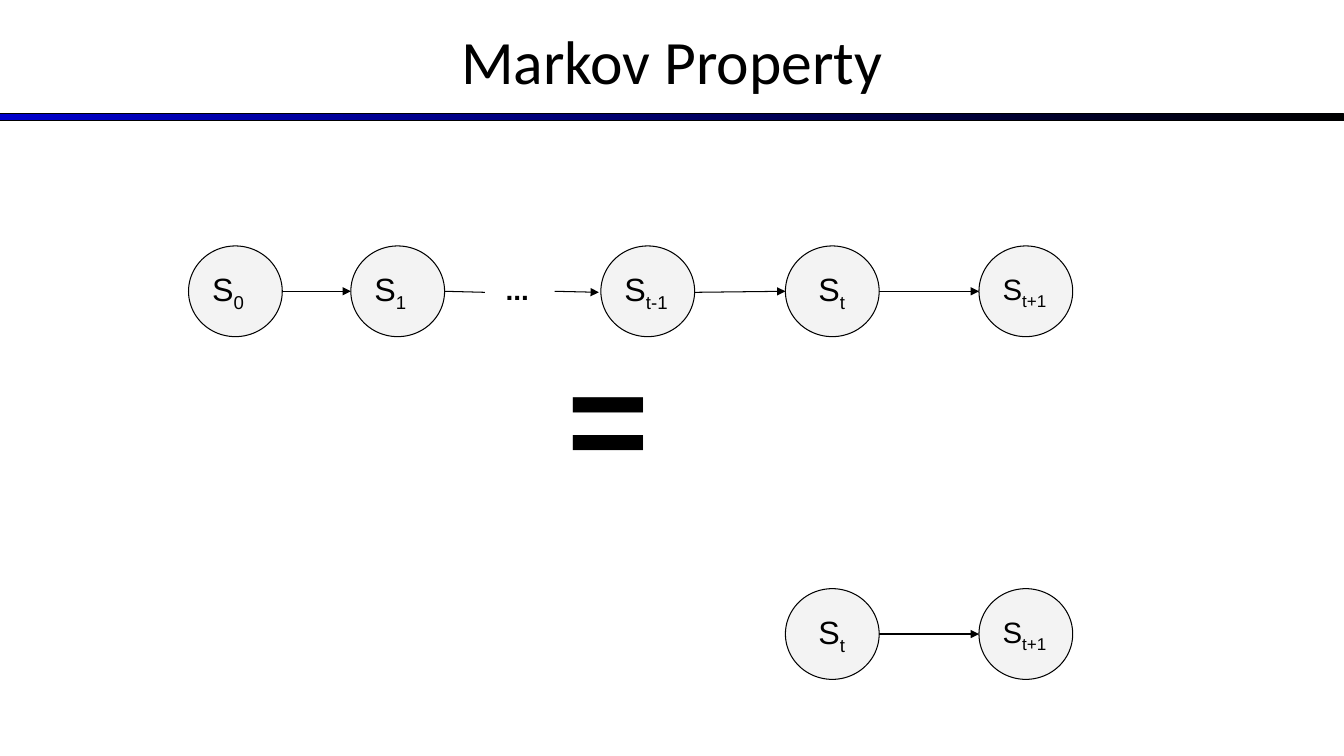
from lxml.etree import SubElement as Sub
from pptx import Presentation
from pptx.dml.color import RGBColor as RGB
from pptx.enum.shapes import MSO_CONNECTOR as Link, MSO_SHAPE as Form
from pptx.enum.text import MSO_ANCHOR as Anchor, PP_ALIGN as Align
from pptx.oxml.ns import qn
from pptx.util import Inches, Pt

HUES = {"ink": "000000", "node": "F3F3F3", "blue": "0000CC"}
WIDE, HIGH = 0.93, 0.9


class Board:
    def __init__(self, slide):
        self.slide = slide
        self.shapes = slide.shapes

    def hue(self, name):
        return RGB.from_string(HUES[name])

    def font(self, run, size, face="Arial", bold=False):
        run.font.size = Pt(size)
        run.font.name = face
        run.font.bold = bold
        run.font.color.rgb = self.hue("ink")

    def edge(self, item):
        item.line.color.rgb = self.hue("ink")
        item.line.width = Pt(0.75)

    def form(self, kind, *box):
        item = self.shapes.add_shape(kind, *map(Inches, box))
        item.shadow.inherit = False
        self.edge(item)
        return item

    def pad(self, frame, left, top, right, low):
        frame.word_wrap = True
        frame.margin_left, frame.margin_top = Inches(left), Inches(top)
        frame.margin_right, frame.margin_bottom = Inches(right), Inches(low)

    def title(self, text):
        item = self.shapes.title
        item.left, item.top = Inches(0), Inches(-0.03)
        item.width, item.height = Inches(13.33), Inches(1.25)
        frame = item.text_frame
        frame.text = text
        self.pad(frame, 0.1, 0.05, 0.1, 0.05)
        frame.vertical_anchor = Anchor.MIDDLE
        frame.paragraphs[0].alignment = Align.CENTER
        self.font(frame.paragraphs[0].runs[0], 44, "Calibri")

    def bar(self, *box):
        item = self.form(Form.RECTANGLE, *box)
        item.fill.gradient()
        item.fill.gradient_angle = 0
        for stop, name in zip(item.fill.gradient_stops, ("blue", "ink")):
            stop.color.rgb = self.hue(name)

    def node(self, left, top, sub, size=23, shift=0):
        """Draw a state circle; shift moves its label to the right."""
        item = self.form(Form.OVAL, left, top, WIDE, HIGH)
        item.fill.solid()
        item.fill.fore_color.rgb = self.hue("node")
        frame = item.text_frame
        self.pad(frame, 0.1 + shift, 0.1, 0.1 - shift, 0.1)
        frame.vertical_anchor = Anchor.MIDDLE
        para = frame.paragraphs[0]
        para.alignment = Align.LEFT
        for text in ("S", sub):
            run = para.add_run()
            run.text = text
            self.font(run, size)
        run._r.get_or_add_rPr().set("baseline", "-25000")

    def line(self, *ends, head=True):
        item = self.shapes.add_connector(Link.STRAIGHT, *map(Inches, ends))
        self.edge(item)
        if head:
            Sub(item.line._get_or_add_ln(), qn("a:tailEnd"), type="triangle")
        Sub(item._element.spPr, qn("a:effectLst"))

    def sign(self, text, size, *box):
        frame = self.shapes.add_textbox(*map(Inches, box)).text_frame
        frame.text = text
        self.pad(frame, 0.1, 0.1, 0.1, 0.1)
        frame.paragraphs[0].alignment = Align.CENTER
        self.font(frame.paragraphs[0].runs[0], size, bold=True)


def main():
    deck = Presentation()
    deck.slide_width, deck.slide_height = Inches(13.33), Inches(7.5)
    board = Board(deck.slides.add_slide(deck.slide_layouts[5]))
    board.title("Markov Property")
    board.bar(0, 1.13, 13.33, 0.07)

    past = [(1.87, "0"), (3.48, "1"), (5.96, "t-1")]
    now, after = 7.79, 9.71
    top = 2.44
    mid = top + HIGH / 2
    for left, sub in past:
        board.node(left, top, sub)
    first, second, last = (left for left, sub in past)
    board.line(first + WIDE, mid, second, mid)
    board.line(second + WIDE, mid, 4.81, mid + 0.01, head=False)
    board.sign("...", 20, 4.91, 2.6, 0.44, 0.45)
    board.line(5.5, mid, 5.94, mid + 0.01)
    board.line(last + WIDE, mid + 0.01, now, mid)

    for row in (top, 5.84):
        board.node(now, row, "t", shift=0.09)
        board.node(after, row, "t+1", size=21)
        board.line(now + WIDE, row + HIGH / 2, after, row + HIGH / 2)
    board.sign("=", 100, 5.08, 3.18, 1.91, 1.85)
    deck.save("out.pptx")


if __name__ == "__main__":
    main()
